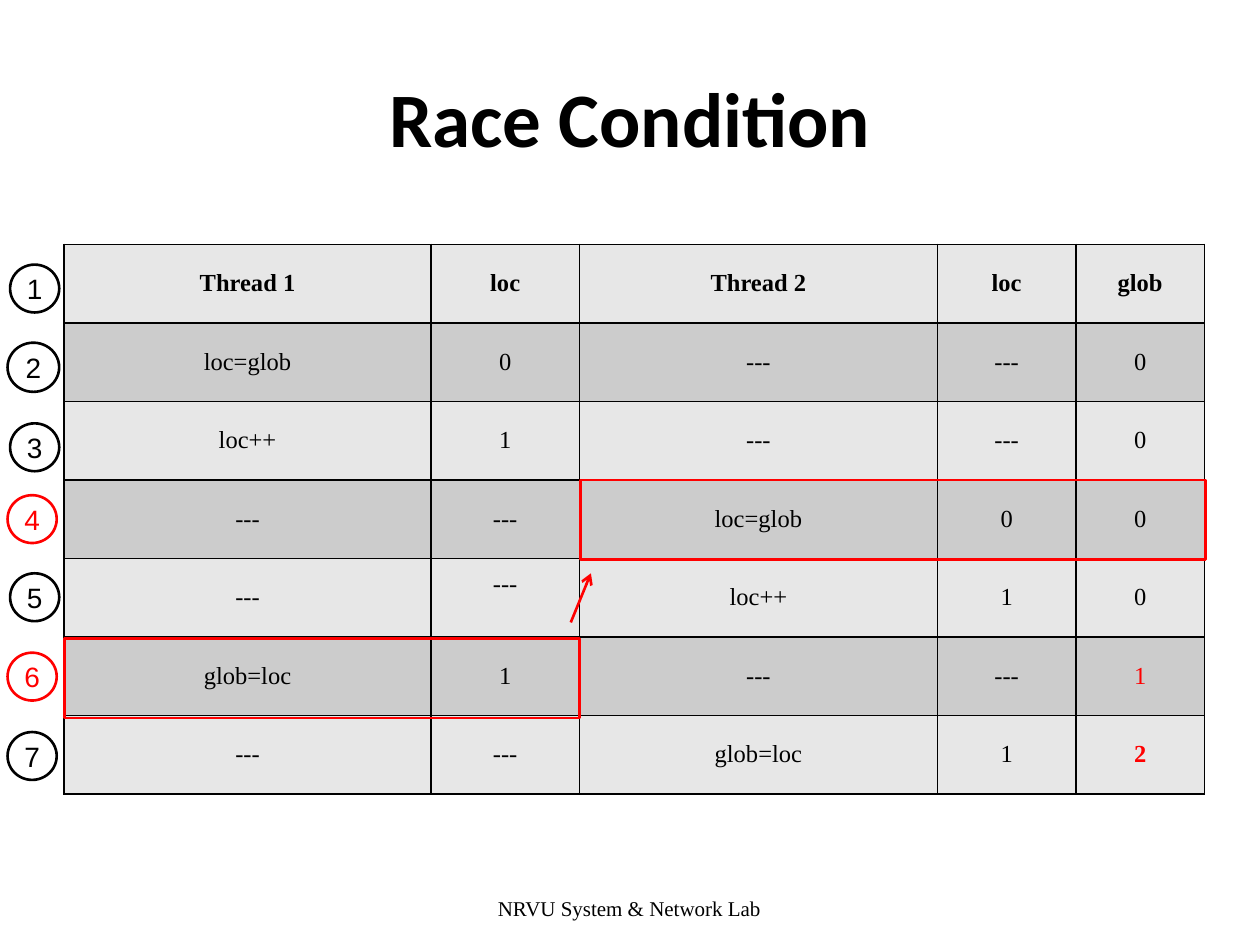
import dataclasses

import pptx
import pptx.dml.color
import pptx.enum.shapes
import pptx.enum.text
import pptx.oxml
import pptx.oxml.ns
import pptx.util
from pptx.util import Inches

MIDDLE = pptx.enum.text.MSO_ANCHOR.MIDDLE
SHAPE = pptx.enum.shapes.MSO_SHAPE


@dataclasses.dataclass(frozen=True)
class Theme:
    black: str = "000000"
    red: str = "FF0000"
    light: str = "E7E7E7"
    dark: str = "CCCCCC"
    serif: str = "Times New Roman"
    sans: str = "Arial"
    heading: str = "Calibri"
    title_size: int = 44
    step_size: int = 16
    cell_size: int = 14
    footer_size: int = 12
    line_width: float = 1.5
    border_width: float = 1


@dataclasses.dataclass(frozen=True)
class Box:
    left: float
    top: float
    width: float
    height: float

    def lengths(self) -> tuple:
        return tuple(Inches(value) for value in dataclasses.astuple(self))


@dataclasses.dataclass(frozen=True)
class Step:
    number: int
    box: Box
    color: str


THEME = Theme()
TABLE = Box(0.51, 1.94, 9.06, 4.36)
COLUMN_WIDTHS = (2.91, 1.18, 2.84, 1.1, 1.02)
ROWS = (
    ("Thread 1", "loc", "Thread 2", "loc", "glob"),
    ("loc=glob", "0", "---", "---", "0"),
    ("loc++", "1", "---", "---", "0"),
    ("---", "---", "loc=glob", "0", "0"),
    ("---", "---", "loc++", "1", "0"),
    ("glob=loc", "1", "---", "---", "1"),
    ("---", "---", "glob=loc", "1", "2"),
)
RED_CELLS = {(5, 4), (6, 4)}
BOLD_CELLS = {(6, 4)}
RAISED_CELL = (4, 1)
HIGHLIGHTS = (Box(4.61, 3.81, 4.96, 0.63), Box(0.51, 5.07, 4.09, 0.63))
STEPS = (
    Step(1, Box(0.08, 2.1, 0.39, 0.38), THEME.black),
    Step(2, Box(0.06, 2.72, 0.41, 0.39), THEME.black),
    Step(3, Box(0.08, 3.36, 0.39, 0.38), THEME.black),
    Step(4, Box(0.06, 3.93, 0.39, 0.38), THEME.red),
    Step(5, Box(0.08, 4.55, 0.39, 0.38), THEME.black),
    Step(6, Box(0.06, 5.18, 0.39, 0.38), THEME.red),
    Step(7, Box(0.06, 5.81, 0.39, 0.38), THEME.black),
)


def rgb(color: str) -> pptx.dml.color.RGBColor:
    return pptx.dml.color.RGBColor.from_string(color)


def write_text(frame, text: str, *, font: str, size: float,
               color: str = THEME.black, bold: bool = False) -> None:
    paragraph = frame.paragraphs[0]
    paragraph.alignment = pptx.enum.text.PP_ALIGN.CENTER
    run = paragraph.add_run()
    run.text = text
    run.font.name = font
    run.font.size = pptx.util.Pt(size)
    run.font.bold = bold
    run.font.color.rgb = rgb(color)


def add_border(cell) -> None:
    properties = cell._tc.get_or_add_tcPr()
    width = pptx.util.Pt(THEME.border_width)
    for side in "LRTB":
        properties.append(pptx.oxml.parse_xml(
            f'<a:ln{side} {pptx.oxml.ns.nsdecls("a")} w="{width}"><a:solidFill>'
            f'<a:srgbClr val="{THEME.black}"/></a:solidFill></a:ln{side}>'))


def add_trace_table(slide) -> None:
    table = slide.shapes.add_table(len(ROWS), len(COLUMN_WIDTHS), *TABLE.lengths()).table
    table.first_row = False
    table.horz_banding = False
    for column, width in zip(table.columns, COLUMN_WIDTHS):
        column.width = Inches(width)
    for row_index, values in enumerate(ROWS):
        table.rows[row_index].height = Inches(TABLE.height / len(ROWS))
        for column_index, value in enumerate(values):
            position = (row_index, column_index)
            cell = table.cell(*position)
            cell.vertical_anchor = MIDDLE
            add_border(cell)
            cell.fill.solid()
            cell.fill.fore_color.rgb = rgb(THEME.dark if row_index % 2 else THEME.light)
            if position == RAISED_CELL:
                cell.margin_bottom = Inches(0.27)
            write_text(cell.text_frame, value, font=THEME.serif, size=THEME.cell_size,
                       color=THEME.red if position in RED_CELLS else THEME.black,
                       bold=row_index == 0 or position in BOLD_CELLS)


def add_outline(slide, kind, box: Box, color: str):
    shape = slide.shapes.add_shape(kind, *box.lengths())
    shape.shadow.inherit = False
    shape.fill.background()
    shape.line.color.rgb = rgb(color)
    shape.line.width = pptx.util.Pt(THEME.line_width)
    return shape


def add_step(slide, step: Step) -> None:
    frame = add_outline(slide, SHAPE.OVAL, step.box, step.color).text_frame
    frame.word_wrap = False
    frame.vertical_anchor = MIDDLE
    write_text(frame, str(step.number), font=THEME.sans, size=THEME.step_size,
               color=step.color)


def add_arrow(slide, start: tuple[float, float], end: tuple[float, float]) -> None:
    arrow = slide.shapes.add_connector(
        pptx.enum.shapes.MSO_CONNECTOR.STRAIGHT,
        *(Inches(value) for value in start + end))
    arrow.line.color.rgb = rgb(THEME.red)
    arrow.line.width = pptx.util.Pt(THEME.line_width)
    namespace = pptx.oxml.ns.nsdecls("a")
    arrow.line._get_or_add_ln().append(
        pptx.oxml.parse_xml(f'<a:tailEnd {namespace} type="arrow"/>'))
    arrow._element.spPr.append(pptx.oxml.parse_xml(f"<a:effectLst {namespace}/>"))


def main() -> None:
    presentation = pptx.Presentation()
    presentation.slide_width = Inches(10)
    presentation.slide_height = Inches(7.5)
    slide = presentation.slides.add_slide(presentation.slide_layouts[5])

    footer = slide.shapes.add_textbox(*Box(2.87, 7.06, 4.25, 0.24).lengths())
    footer.text_frame.word_wrap = True
    write_text(footer.text_frame, "NRVU System & Network Lab",
               font=THEME.serif, size=THEME.footer_size)

    title = slide.shapes.title
    title.left, title.top, title.width, title.height = Box(0.5, 0.3, 9, 1.25).lengths()
    title.text_frame.vertical_anchor = MIDDLE
    write_text(title.text_frame, "Race Condition", font=THEME.heading,
               size=THEME.title_size, bold=True)

    add_trace_table(slide)
    for box in HIGHLIGHTS:
        add_outline(slide, SHAPE.RECTANGLE, box, THEME.red)
    for step in STEPS:
        add_step(slide, step)
    add_arrow(slide, (4.53, 4.94), (4.69, 4.55))

    presentation.save("out.pptx")


if __name__ == "__main__":
    main()
